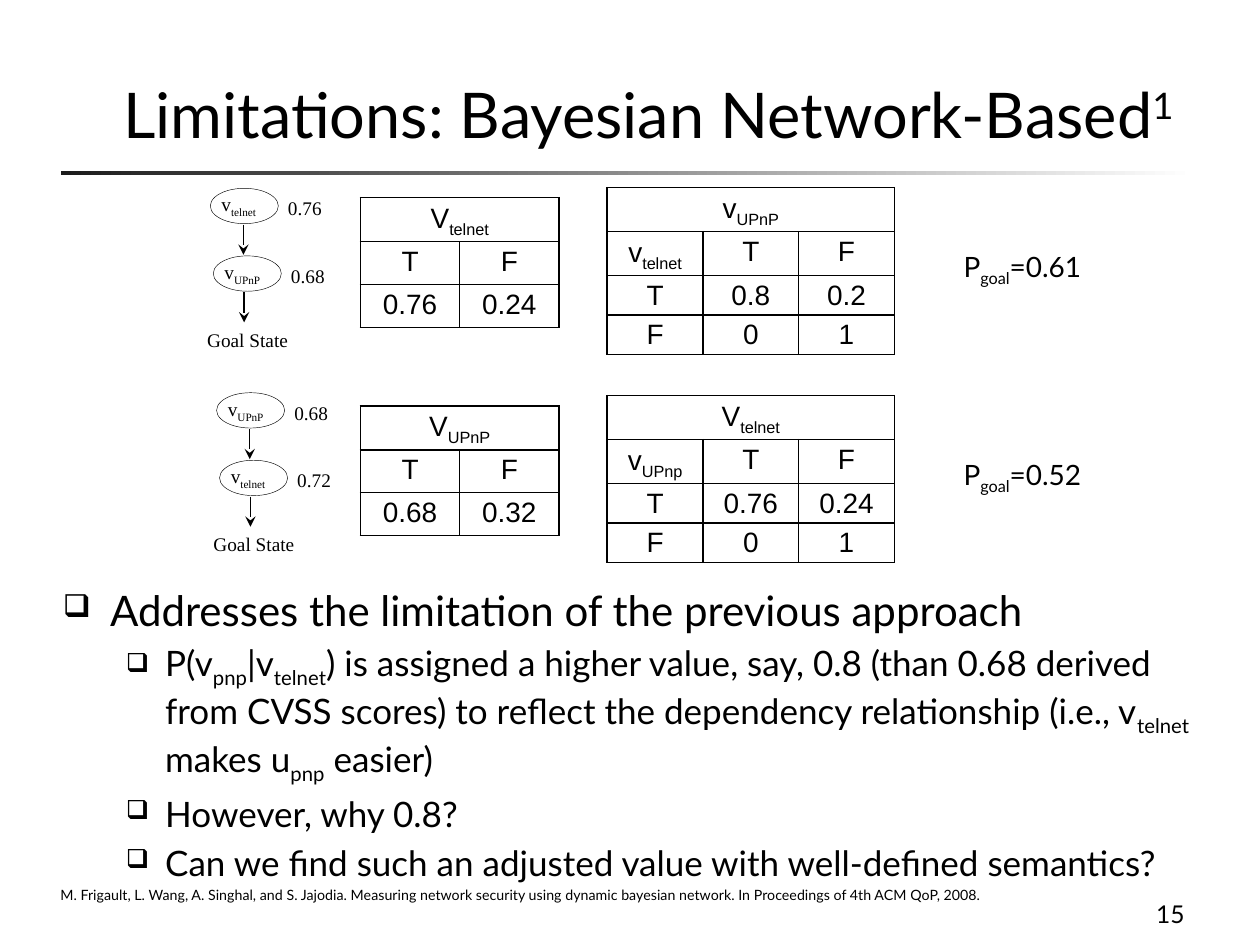
import pptx
import pptx.util
import pptx.dml.color
import pptx.enum.dml
import pptx.enum.shapes
import pptx.enum.text
import pptx.oxml
import pptx.oxml.ns
import lxml.etree

Pt = pptx.util.Pt
Align = pptx.enum.text.PP_ALIGN
Anchor = pptx.enum.text.MSO_ANCHOR
Shape = pptx.enum.shapes.MSO_SHAPE

THEME = {
    "ink": "000000", "paper": "FFFFFF", "rule": "1C1C1C",
    "main": "Lato", "grid": "Arial", "diagram": "Times New Roman",
    "title": 36, "body": 24, "detail": 20, "cell": 16, "goal": 16,
    "number": 14, "footnote": 14, "label": 11,
}
SUB, SUPER = -25, 30

TITLE = "Limitations: Bayesian Network-Based~1~"
BULLETS = [
    (0, "Addresses the limitation of the previous approach"),
    (1, "P(v~pnp~|v~telnet~) is assigned a higher value, say, 0.8 (than 0.68 derived from CVSS scores) "
        "to reflect the dependency relationship (i.e., v~telnet~ makes u~pnp~ easier)"),
    (1, "However, why 0.8?"),
    (1, "Can we find such an adjusted value with well-defined semantics?"),
]
LEVELS = [("body", 27, 27), ("detail", 58.5, 22.5)]
FOOTNOTE = ("~M. Frigault, L. Wang, A. Singhal, and S. Jajodia. Measuring network security using dynamic "
            "bayesian network. In Proceedings of 4th ACM QoP, 2008.~")
PAGE_NUMBER = "15"

CASES = [
    {
        "origin": (119.5, 106.6), "top": 107.2,
        "nodes": [("v~telnet~", "0.76"), ("v~UPnP~", "0.68")],
        "prior": [["V~telnet~"], ["T", "F"], ["0.76", "0.24"]],
        "conditional": [["v~UPnP~"], ["v~telnet~", "T", "F"], ["T", "0.8", "0.2"], ["F", "0", "1"]],
        "goal": "P~goal~=0.61",
    },
    {
        "origin": (123.1, 223.4), "top": 226.1,
        "nodes": [("v~UPnP~", "0.68"), ("v~telnet~", "0.72")],
        "prior": [["V~UPnP~"], ["T", "F"], ["0.68", "0.32"]],
        "conditional": [["V~telnet~"], ["v~UPnp~", "T", "F"], ["T", "0.76", "0.24"], ["F", "0", "1"]],
        "goal": "P~goal~=0.52",
    },
]


def color(name):
    return pptx.dml.color.RGBColor.from_string(THEME[name])


def add_xml(parent, tag, **attributes):
    return lxml.etree.SubElement(parent, pptx.oxml.ns.qn(tag), attributes)


def write(para, marked, font, size, shift=SUB):
    for index, part in enumerate(marked.split("~")):
        if not part:
            continue
        span = para.add_run()
        span.text = part
        span.font.name = THEME[font]
        span.font.size = Pt(THEME[size])
        span.font.color.rgb = color("ink")
        if index % 2:
            span.font._element.set("baseline", str(shift * 1000))


def add_text(page, frame, marked, font, size, shift=SUB, anchor=Anchor.TOP, align=Align.LEFT):
    box = page.shapes.add_textbox(*map(Pt, frame))
    box.text_frame.word_wrap = True
    box.text_frame.vertical_anchor = anchor
    para = box.text_frame.paragraphs[0]
    para.alignment = align
    write(para, marked, font, size, shift)
    return box


def add_label(page, frame, marked):
    box = add_text(page, frame, marked, "diagram", "label")
    box.fill.solid()
    box.fill.fore_color.rgb = color("paper")


def add_arrow(page, x, start, end):
    arrow = page.shapes.add_connector(
        pptx.enum.shapes.MSO_CONNECTOR.STRAIGHT, Pt(x), Pt(start), Pt(x), Pt(end))
    arrow.line.color.rgb = color("ink")
    arrow.line.width = Pt(0.75)
    add_xml(arrow.line._get_or_add_ln(), "a:tailEnd", type="stealth")
    add_xml(arrow._element.spPr, "a:effectLst")


def add_diagram(page, origin, nodes):
    left, top = origin
    for index, (name, probability) in enumerate(nodes):
        x, y = left + 1.7 * index, top + 38.6 * index
        add_label(page, (x + 38, y + 2.2, 39, 22), probability)
        add_label(page, (x, y, 39, 22), name)
        oval = page.shapes.add_shape(Shape.OVAL, Pt(x + 0.7), Pt(y + 1), Pt(38.9), Pt(20.2))
        oval.shadow.inherit = False
        oval.fill.background()
        oval.line.color.rgb = color("ink")
        oval.line.width = Pt(0.25)
        if index == len(nodes) - 1:
            add_label(page, (left - 8.2, y + 38.6, 64, 22), "Goal State")
    for index in range(len(nodes)):
        y = top + 38.6 * index
        add_arrow(page, left + 19.6 + 0.4 * index, y + 21.8, y + 39)


def add_grid(page, left, top, column, row, rows):
    columns = len(rows[-1])
    table = page.shapes.add_table(
        len(rows), columns, Pt(left), Pt(top), Pt(column * columns), Pt(row * len(rows))).table
    table.first_row = table.horz_banding = False
    for line in table.rows:
        line.height = Pt(row)
    for strip in table.columns:
        strip.width = Pt(column)
    table.cell(0, 0).merge(table.cell(0, columns - 1))
    for r, values in enumerate(rows):
        for c in range(columns):
            cell = table.cell(r, c)
            cell.margin_left = cell.margin_right = Pt(5)
            cell.margin_top = cell.margin_bottom = Pt(0)
            properties = cell._tc.get_or_add_tcPr()
            for side in ("a:lnL", "a:lnR", "a:lnT", "a:lnB"):
                border = add_xml(properties, side, w=str(Pt(1)))
                add_xml(add_xml(border, "a:solidFill"), "a:srgbClr", val=THEME["ink"])
            cell.fill.background()
            if c < len(values):
                para = cell.text_frame.paragraphs[0]
                para.alignment = Align.CENTER
                para.line_spacing = 1.15
                write(para, values[c], "grid", "cell")


def add_bullets(page):
    box = page.shapes.add_textbox(Pt(28.8), Pt(330.5), Pt(670.3), Pt(193))
    box.text_frame.word_wrap = True
    for index, (level, marked) in enumerate(BULLETS):
        para = box.text_frame.add_paragraph() if index else box.text_frame.paragraphs[0]
        size, margin, hang = LEVELS[level]
        para.level = level
        para.space_before = Pt(THEME[size] * 0.2)
        properties = para._p.get_or_add_pPr()
        properties.set("marL", str(Pt(margin)))
        properties.set("indent", str(-Pt(hang)))
        add_xml(add_xml(properties, "a:buClr"), "a:srgbClr", val=THEME["ink"])
        add_xml(properties, "a:buSzPct", val="75000")
        add_xml(properties, "a:buChar", char="❑")
        write(para, marked, "main", size)


def add_rule(page):
    rule = page.shapes.add_shape(Shape.RECTANGLE, Pt(34.8), Pt(98), Pt(648), Pt(2.3))
    rule.shadow.inherit = False
    rule.line.fill.background()
    rule.fill.gradient()
    rule.fill.gradient_angle = 0
    for stop, position, name in zip(rule.fill.gradient_stops, (0, 1), ("rule", "paper")):
        stop.position = position
        stop.color.rgb = color(name)


def main():
    deck = pptx.Presentation()
    deck.slide_width, deck.slide_height = Pt(720), Pt(540)
    page = deck.slides.add_slide(deck.slide_layouts[6])
    add_rule(page)
    add_text(page, (63.4, 18, 636.5, 72), TITLE, "main", "title", SUPER, Anchor.BOTTOM)
    add_bullets(page)
    add_text(page, (534.2, 498.2, 149.8, 36), PAGE_NUMBER, "main", "number",
             anchor=Anchor.BOTTOM, align=Align.RIGHT)
    for case in CASES:
        add_diagram(page, case["origin"], case["nodes"])
        add_grid(page, 206, case["top"] + 5.8, 56.7, 24.5, case["prior"])
        add_grid(page, 347, case["top"], 54.7, 22.6, case["conditional"])
        add_text(page, (543.6, case["top"] + 32, 141, 26.6), case["goal"], "main", "goal")
    add_text(page, (27.4, 501, 679.7, 24.5), FOOTNOTE, "main", "footnote", SUPER)
    deck.save("out.pptx")


if __name__ == "__main__":
    main()
